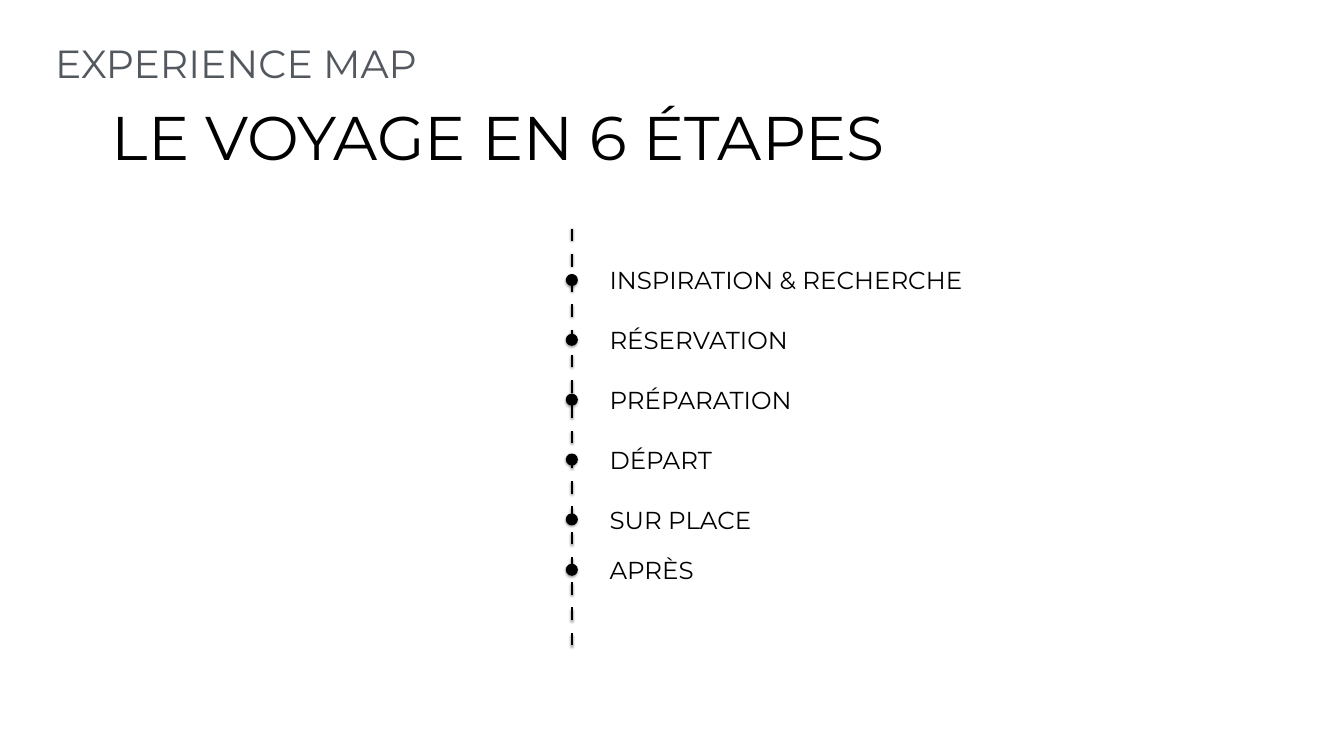
from typing import NamedTuple

from lxml import etree
from pptx import Presentation
from pptx.dml.color import RGBColor
from pptx.enum.shapes import MSO_CONNECTOR, MSO_SHAPE
from pptx.enum.text import MSO_ANCHOR, MSO_AUTO_SIZE, PP_ALIGN
from pptx.oxml.ns import qn
from pptx.util import Pt

OVAL = MSO_SHAPE.OVAL
LINE = MSO_CONNECTOR.STRAIGHT
TOP, MID = MSO_ANCHOR.TOP, MSO_ANCHOR.MIDDLE
GROW = MSO_AUTO_SIZE.SHAPE_TO_FIT_TEXT
LEFT = PP_ALIGN.LEFT
FONT = "Montserrat"
HUES = {"ink": "000000", "gray": "53585F", "back": "FFFFFF"}

AXIS = 816.4
FIRST, PITCH, LAST = 400, 85.5, 814
DOT = 15.2
LABEL = 866.2
HIGH = 51.2


class Step(NamedTuple):
    name: str
    y: float
    width: float


NAMES = (
    ("INSPIRATION & RECHERCHE", 512.6),
    ("RÉSERVATION", 266.4),
    ("PRÉPARATION", 281.5),
    ("DÉPART", 157.7),
    ("SUR PLACE", 211.7),
)
STEPS = [Step(name, FIRST + i * PITCH, width) for i, (name, width) in enumerate(NAMES)]
STEPS.append(Step("APRÈS", LAST, 131.8))


def color(key: str) -> RGBColor:
    return RGBColor.from_string(HUES[key])


def place(shape, x: float, y: float, w: float, h: float) -> None:
    shape.left, shape.top, shape.width, shape.height = Pt(x), Pt(y), Pt(w), Pt(h)


def write(shape, text: str, *, size: float, hue: str = "ink", inset: float = 4,
          anchor=MID, wrap: bool = False) -> None:
    frame = shape.text_frame
    frame.text = text
    frame.word_wrap = wrap
    frame.auto_size = GROW
    frame.vertical_anchor = anchor
    frame.margin_left = frame.margin_right = Pt(inset)
    frame.margin_top = frame.margin_bottom = Pt(inset)
    para = frame.paragraphs[0]
    para.alignment = LEFT
    font = para.runs[0].font
    font.name, font.size = FONT, Pt(size)
    font.color.rgb = color(hue)


def shade(shape, alpha: int, dist: float) -> None:
    effects = etree.SubElement(shape.element.spPr, qn("a:effectLst"))
    outer = etree.SubElement(effects, qn("a:outerShdw"), blurRad=str(Pt(3)),
                             dist=str(Pt(dist)), dir="5400000", rotWithShape="0")
    tint = etree.SubElement(outer, qn("a:srgbClr"), val=HUES["ink"])
    etree.SubElement(tint, qn("a:alpha"), val=str(alpha * 1000))


def draw_step(slide, step: Step) -> None:
    dot = slide.shapes.add_shape(OVAL, 0, 0, 0, 0)
    place(dot, AXIS - DOT / 2, step.y - DOT / 2, DOT, DOT)
    dot.fill.solid()
    dot.fill.fore_color.rgb = color("ink")
    dot.line.color.rgb = color("ink")
    dot.line.width = Pt(2)
    shade(dot, 35, 1.8)
    label = slide.shapes.add_textbox(0, 0, 0, 0)
    place(label, LABEL, step.y - HIGH / 2, step.width, HIGH)
    write(label, step.name, size=35)


def draw_axis(slide) -> None:
    axis = slide.shapes.add_connector(LINE, Pt(AXIS), Pt(921.6), Pt(AXIS), Pt(319.7))
    axis.line.color.rgb = color("ink")
    axis.line.width = Pt(3)
    dash = etree.SubElement(axis.element.spPr.find(qn("a:ln")), qn("a:custDash"))
    etree.SubElement(dash, qn("a:ds"), d="600000", sp="600000")
    shade(axis, 38, 1.6)


def main() -> None:
    deck = Presentation()
    deck.slide_width, deck.slide_height = Pt(1918.8), Pt(1080)
    slide = deck.slides.add_slide(deck.slide_layouts[5])
    slide.background.fill.solid()
    slide.background.fill.fore_color.rgb = color("back")

    title = slide.shapes.title
    place(title, 156.2, 138.2, 1314, 114.5)
    write(title, "LE VOYAGE EN 6 ÉTAPES", size=88, inset=3.6, anchor=TOP, wrap=True)
    head = slide.shapes.add_textbox(0, 0, 0, 0)
    place(head, 74.9, 51.8, 761, 76.3)
    write(head, "EXPERIENCE MAP", size=56, hue="gray", wrap=True)

    for step in STEPS:
        draw_step(slide, step)
    draw_axis(slide)
    deck.save("out.pptx")


if __name__ == "__main__":
    main()
